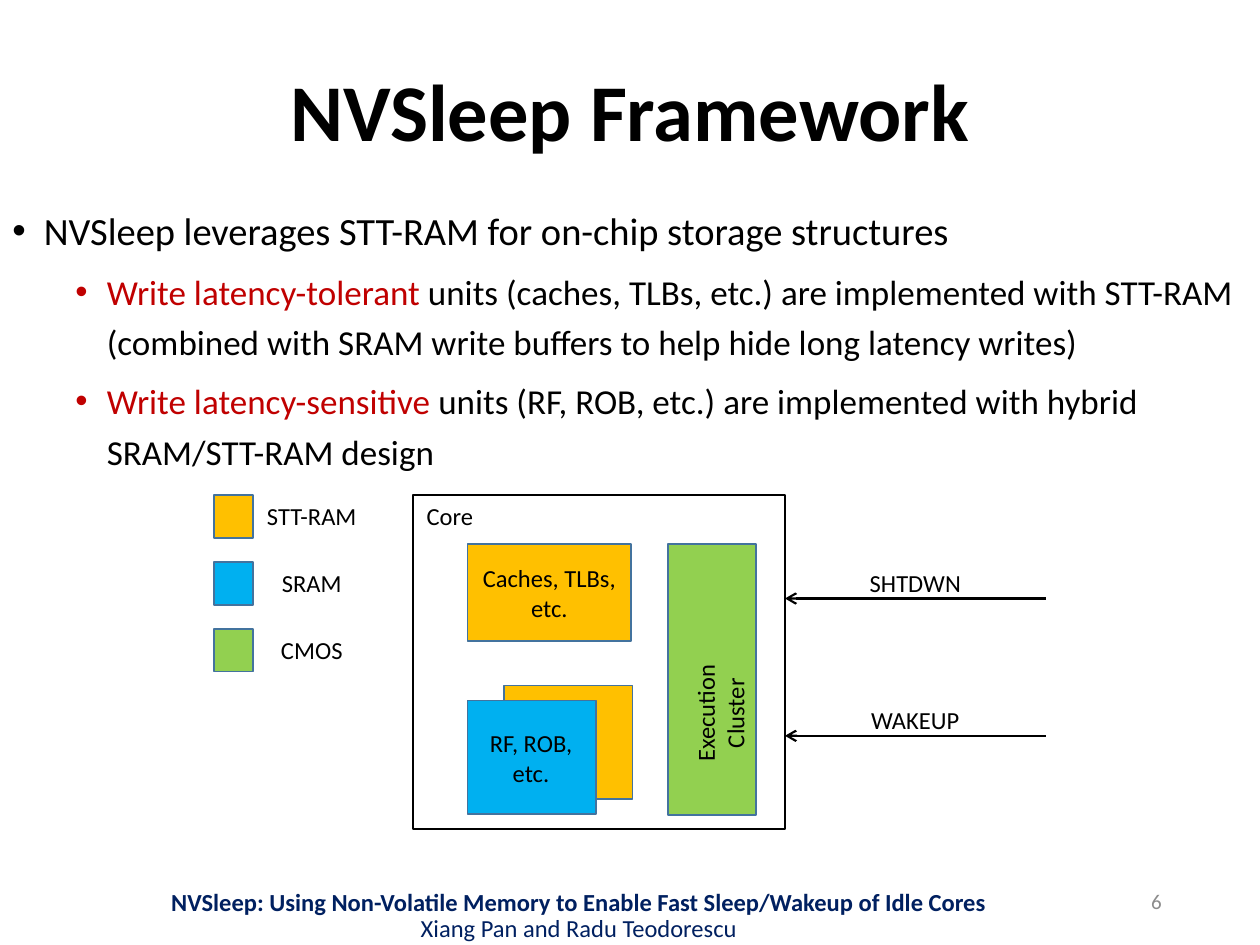
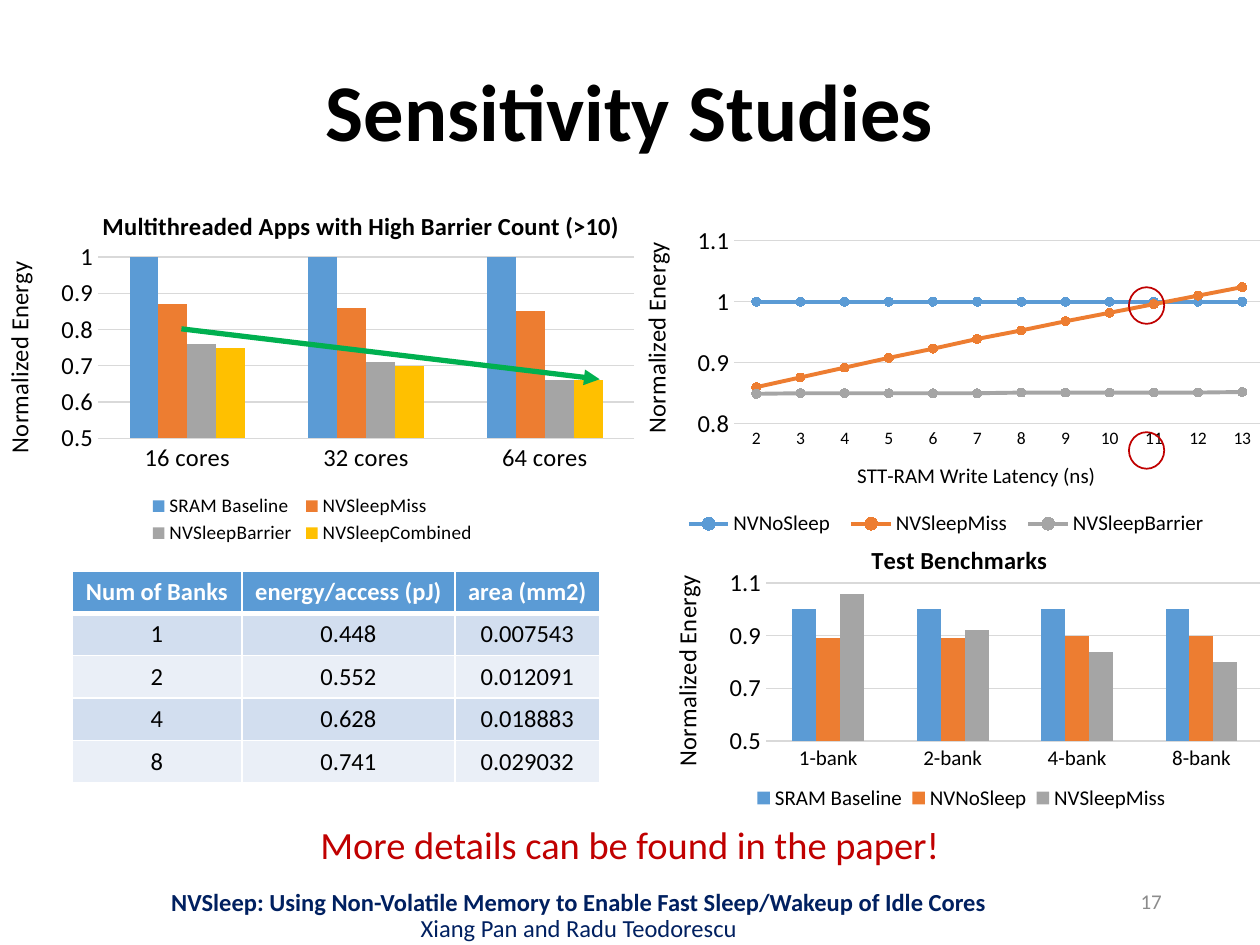
from dataclasses import dataclass
from typing import NamedTuple, Optional

from lxml import etree
from pptx import Presentation
from pptx.chart.data import CategoryChartData
from pptx.dml.color import RGBColor
from pptx.enum.chart import XL_CHART_TYPE as Chart, XL_LEGEND_POSITION as Legend
from pptx.enum.chart import XL_MARKER_STYLE as Marker, XL_TICK_MARK as Tick
from pptx.enum.shapes import MSO_CONNECTOR as Connector, MSO_SHAPE as Shape
from pptx.enum.text import MSO_ANCHOR as Anchor, MSO_AUTO_SIZE as AutoSize, PP_ALIGN as Align
from pptx.oxml.ns import qn
from pptx.util import Emu, Inches, Pt

FONT = "Calibri"
COLORS = {
    "text": "000000", "accent": "C00000", "footer": "002060", "number": "8C8C8C",
    "stt": "FFC000", "sram": "00B0F0", "cmos": "92D050", "edge": "43739E",
    "blue": "5B9BD5", "orange": "ED7D31", "gray": "A5A5A5", "gold": "FFC000",
    "grid": "D9D9D9", "trend": "00B050", "white": "FFFFFF",
    "band_dark": "D2DEEF", "band_light": "EAEFF7",
}
SERIES_COLORS = ("blue", "orange", "gray", "gold")
COLS, ROWS = 100, 75
ENERGY = "Normalized Energy"

prs = Presentation()
prs.slide_width, prs.slide_height = Inches(10), Inches(7.5)
COL, ROW = prs.slide_width / COLS, prs.slide_height / ROWS


class Box(NamedTuple):
    col: float
    row: float
    cols: float
    rows: float

    def emu(self) -> tuple:
        return (Emu(round(self.col * COL)), Emu(round(self.row * ROW)),
                Emu(round(self.cols * COL)), Emu(round(self.rows * ROW)))


class Run(NamedTuple):
    text: str
    size: float = 14
    color: str = "text"
    bold: bool = False


class Frac(NamedTuple):
    x: float
    y: float
    w: Optional[float] = None
    h: Optional[float] = None


class Block(NamedTuple):
    box: Box
    fill: Optional[str] = None
    line: str = "edge"
    kind: Shape = Shape.RECTANGLE


class Arrow(NamedTuple):
    start: tuple
    end: tuple
    color: str = "text"
    width: float = 1.25
    head: str = "arrow"


@dataclass
class ChartSpec:
    box: Box
    kind: Chart
    cats: list
    series: dict
    scale: tuple
    plot: Frac
    legend: Frac
    value_title: Frac
    cat_size: int
    legend_size: int = 12
    title: str = ""
    title_at: Optional[Frac] = None
    cat_title: str = ""
    cat_title_at: Optional[Frac] = None


def rgb(name: str) -> RGBColor:
    return RGBColor.from_string(COLORS[name])


def set_all(obj, **values) -> None:
    for key, value in values.items():
        setattr(obj, key, value)


def style(font, size: float, color: str = "text", bold: bool = False) -> None:
    set_all(font, name=FONT, size=Pt(size), bold=bold)
    font.color.rgb = rgb(color)


def write(p, runs: list, align=Align.CENTER, spacing: float = 1.0) -> None:
    set_all(p, alignment=align, line_spacing=spacing)
    for run in runs:
        r = p.add_run()
        r.text = run.text
        style(r.font, run.size, run.color, run.bold)


def add_text(s, box: Box, lines: list, align=Align.CENTER, spacing: float = 1.0,
             anchor=Anchor.TOP):
    tf = s.shapes.add_textbox(*box.emu()).text_frame
    set_all(tf, word_wrap=True, vertical_anchor=anchor, auto_size=AutoSize.NONE)
    for i, runs in enumerate(lines):
        write(tf.add_paragraph() if i else tf.paragraphs[0], runs, align, spacing)
    return tf


def add_label(s, box: Box, text: str):
    return add_text(s, box, [[Run(text)]])


def add_block(s, block: Block) -> None:
    sp = s.shapes.add_shape(block.kind, *block.box.emu())
    sp.shadow.inherit = False
    if block.fill:
        sp.fill.solid()
        sp.fill.fore_color.rgb = rgb(block.fill)
    else:
        sp.fill.background()
    sp.line.color.rgb = rgb(block.line)
    sp.line.width = Pt(1)


def add_arrow(s, arrow: Arrow) -> None:
    ends = Box(*arrow.start, *arrow.end).emu()
    c = s.shapes.add_connector(Connector.STRAIGHT, *ends)
    c.line.color.rgb = rgb(arrow.color)
    c.line.width = Pt(arrow.width)
    sp_pr = c._element.spPr
    etree.SubElement(sp_pr.find(qn("a:ln")), qn("a:tailEnd"), type=arrow.head)
    etree.SubElement(sp_pr, qn("a:effectLst"))


def add_bullets(s, box: Box, items: list) -> None:
    tf = add_text(s, box, [runs for _, runs in items], Align.LEFT, 1.2)
    for p, (level, _) in zip(tf.paragraphs, items):
        set_all(p, level=level, space_before=Pt(5 if level else 10))
        pr = p._p.get_or_add_pPr()
        pr.set("marL", str(Inches(0.25 + 0.5 * level)))
        pr.set("indent", str(-Inches(0.25)))
        etree.SubElement(pr, qn("a:buFont"), typeface="Arial")
        etree.SubElement(pr, qn("a:buChar"), char="•")


def place(element, at: Frac, index: int, inner: bool = False) -> None:
    for old in element.findall(qn("c:layout")):
        element.remove(old)
    layout = etree.Element(qn("c:layout"))
    element.insert(index, layout)
    manual = etree.SubElement(layout, qn("c:manualLayout"))
    if inner:
        etree.SubElement(manual, qn("c:layoutTarget"), val="inner")
    for mode in ("xMode", "yMode"):
        etree.SubElement(manual, qn(f"c:{mode}"), val="edge")
    for key, value in at._asdict().items():
        if value is not None:
            etree.SubElement(manual, qn(f"c:{key}"), val=str(value))


def title_part(title, text: str, size: float, at: Frac, bold: bool = False):
    write(title.text_frame.paragraphs[0], [Run(text, size, bold=bold)])
    place(title._element, at, 1)
    return title.text_frame


def add_chart(s, spec: ChartSpec) -> None:
    data = CategoryChartData()
    data.categories = spec.cats
    for name, values in spec.series.items():
        data.add_series(name, values)
    chart = s.shapes.add_chart(spec.kind, *spec.box.emu(), data).chart
    style(chart.font, 10)
    chart.has_title = bool(spec.title)
    if spec.title:
        title_part(chart.chart_title, spec.title, 14, spec.title_at, True)

    cat, val = chart.category_axis, chart.value_axis
    for axis, size in ((cat, spec.cat_size), (val, 14)):
        set_all(axis, major_tick_mark=Tick.NONE, minor_tick_mark=Tick.NONE)
        style(axis.tick_labels.font, size)
    low, high, step = spec.scale
    set_all(val, minimum_scale=low, maximum_scale=high, major_unit=step,
            has_major_gridlines=True)
    val.format.line.fill.background()
    for line in (cat.format.line, val.major_gridlines.format.line):
        line.color.rgb = rgb("grid")
        line.width = Pt(0.75)
    tf = title_part(val.axis_title, ENERGY, 14, spec.value_title)
    tf._txBody.bodyPr.set("rot", "-5400000")
    tf._txBody.bodyPr.set("vert", "horz")
    if spec.cat_title:
        title_part(cat.axis_title, spec.cat_title, 12, spec.cat_title_at)

    chart.has_legend = True
    set_all(chart.legend, position=Legend.BOTTOM, include_in_layout=False)
    style(chart.legend.font, spec.legend_size)
    place(chart.legend._element, spec.legend, 1)
    place(chart._chartSpace.chart.plotArea, spec.plot, 0, True)

    plot = chart.plots[0]
    plot.vary_by_categories = False
    is_line = spec.kind == Chart.LINE_MARKERS
    if not is_line:
        plot.gap_width = 219
    for ser, color in zip(plot.series, SERIES_COLORS):
        fills = [ser.format.fill]
        if is_line:
            ser.smooth = False
            set_all(ser.marker, style=Marker.CIRCLE, size=5)
            ser.format.line.width = Pt(2.25)
            ser.marker.format.line.color.rgb = rgb(color)
            fills = [ser.format.line.fill, ser.marker.format.fill]
        for fill in fills:
            fill.solid()
            fill.fore_color.rgb = rgb(color)


def add_table(s, box: Box, widths: list, rows: list) -> None:
    table = s.shapes.add_table(len(rows), len(widths), *box.emu()).table
    for column, width in zip(table.columns, widths):
        column.width = Emu(round(width * COL))
    for i, values in enumerate(rows):
        head = i == 0
        fill = "blue" if head else ("band_light", "band_dark")[i % 2]
        for cell, value in zip(table.rows[i].cells, values):
            write(cell.text_frame.paragraphs[0],
                  [Run(value, color="white" if head else "text", bold=head)])
            pr = cell._tc.get_or_add_tcPr()
            for side in "LRTB":
                width = 3 if (head and side == "B") or (i == 1 and side == "T") else 1
                ln = etree.SubElement(pr, qn(f"a:ln{side}"), w=str(Pt(width)))
                solid = etree.SubElement(ln, qn("a:solidFill"))
                etree.SubElement(solid, qn("a:srgbClr"), val=COLORS["white"])
            cell.fill.solid()
            cell.fill.fore_color.rgb = rgb(fill)


def new_slide(title: str, number: int):
    s = prs.slides.add_slide(prs.slide_layouts[5])
    t = s.shapes.title
    set_all(t, **dict(zip(("left", "top", "width", "height"),
                          Box(3.7, 3.7, 92.5, 10.9).emu())))
    set_all(t.text_frame, vertical_anchor=Anchor.MIDDLE, auto_size=AutoSize.NONE)
    write(t.text_frame.paragraphs[0], [Run(title, 46, bold=True)], spacing=0.9)
    add_text(s, Box(88.9, 69.5, 4.3, 4), [[Run(str(number), 12, "number")]],
             Align.RIGHT, anchor=Anchor.MIDDLE)
    tf = add_text(s, Box(5.3, 70.3, 81.3, 4.9), [
        [Run("NVSleep: Using Non-Volatile Memory to Enable Fast Sleep/Wakeup of Idle Cores",
             color="footer", bold=True)],
        [Run("Xiang Pan and Radu Teodorescu", color="footer")]], spacing=0.9,
        anchor=Anchor.MIDDLE)
    set_all(tf, margin_left=Inches(0.07), margin_right=Inches(0.07),
            margin_top=Inches(0.04), margin_bottom=Inches(0.04))
    return s


def framework_slide() -> None:
    s = new_slide("NVSleep Framework", 6)
    add_bullets(s, Box(0, 15.2, 100, 18.6), [
        (0, [Run("NVSleep leverages STT-RAM for on-chip storage structures", 22)]),
        (1, [Run("Write latency-tolerant ", 20, "accent"),
             Run("units (caches, TLBs, etc.) are implemented with STT-RAM (combined with "
                 "SRAM write buffers to help hide long latency writes)", 20)]),
        (1, [Run("Write latency-sensitive ", 20, "accent"),
             Run("units (RF, ROB, etc.) are implemented with hybrid SRAM/STT-RAM design", 20)]),
    ])
    for block in (Block(Box(32.8, 39.3, 29.5, 26.5), line="text"),
                  Block(Box(37.1, 43.2, 13, 7.7), "stt"),
                  Block(Box(40, 54.4, 10.2, 9), "stt"),
                  Block(Box(53, 43.2, 7, 21.5), "cmos"),
                  Block(Box(37.1, 55.6, 10.2, 9), "sram")):
        add_block(s, block)
    tf = add_label(s, Box(54.3, 49.1, 5.9, 15), "Execution Cluster")
    tf._txBody.bodyPr.set("vert", "vert270")
    add_label(s, Box(36.5, 44.2, 14.2, 5.7), "Caches, TLBs, etc.")
    add_label(s, Box(36.5, 57.3, 11.3, 5.7), "RF, ROB, etc.")
    add_label(s, Box(32.8, 39.3, 5.8, 3.4), "Core")
    for i, (name, fill) in enumerate((("STT-RAM", "stt"), ("SRAM", "sram"), ("CMOS", "cmos"))):
        row = 39.3 + 5.3 * i
        add_block(s, Block(Box(17, row, 3.1, 3.4), fill))
        add_label(s, Box(20.1, row, 9.3, 3.4), name)
    for row, name in ((47.5, "SHTDWN"), (58.4, "WAKEUP")):
        add_arrow(s, Arrow((83, row), (62.3, row)))
        add_label(s, Box(68, row - 2.9, 9.3, 3.4), name)


def studies_slide() -> None:
    s = new_slide("Sensitivity Studies", 17)
    add_chart(s, ChartSpec(
        Box(-1.8, 13.8, 53.2, 30), Chart.COLUMN_CLUSTERED,
        [f"{n} cores" for n in (16, 32, 64)],
        {"SRAM Baseline": [1] * 3, "NVSleepMiss": [0.87, 0.86, 0.85],
         "NVSleepBarrier": [0.76, 0.71, 0.66], "NVSleepCombined": [0.75, 0.7, 0.66]},
        (0.5, 1, 0.1), Frac(0.18, 0.22, 0.8, 0.48), Frac(0.25, 0.84, 0.5, 0.15),
        Frac(0.03, 0.22), 14, 11,
        "Multithreaded Apps with High Barrier Count (>10)", Frac(0.18, 0.08)))
    add_arrow(s, Arrow((14.4, 26.1), (47.6, 30.1), "trend", 3, "triangle"))
    add_chart(s, ChartSpec(
        Box(48.8, 17.5, 52.6, 26.9), Chart.LINE_MARKERS, [str(n) for n in range(2, 14)],
        {"NVNoSleep": [1] * 12,
         "NVSleepMiss": [0.86, 0.876, 0.892, 0.908, 0.923, 0.939,
                         0.953, 0.968, 0.982, 0.996, 1.01, 1.024],
         "NVSleepBarrier": [0.849] + [0.85] * 5 + [0.851] * 5 + [0.852]},
        (0.8, 1.1, 0.1), Frac(0.18, 0.06, 0.8, 0.54), Frac(0.09, 0.85, 0.82, 0.09),
        Frac(0.03, 0.05), 10,
        cat_title="STT-RAM Write Latency (ns)", cat_title_at=Frac(0.36, 0.7)))
    for row in (34.3, 22.8):
        add_block(s, Block(Box(89.6, row, 2.8, 2.9), line="accent", kind=Shape.OVAL))
    add_table(s, Box(5.7, 45.3, 41.9, 16.7), [13.5, 16.9, 11.5], [
        ("Num of Banks", "energy/access (pJ)", "area (mm2)"),
        ("1", "0.448", "0.007543"), ("2", "0.552", "0.012091"),
        ("4", "0.628", "0.018883"), ("8", "0.741", "0.029032")])
    add_chart(s, ChartSpec(
        Box(51.3, 40, 50, 25.1), Chart.COLUMN_CLUSTERED,
        [f"{n}-bank" for n in (1, 2, 4, 8)],
        {"SRAM Baseline": [1] * 4, "NVNoSleep": [0.89, 0.89, 0.9, 0.9],
         "NVSleepMiss": [1.06, 0.92, 0.84, 0.8]},
        (0.5, 1.1, 0.2), Frac(0.19, 0.25, 0.79, 0.5), Frac(0.16, 0.91, 0.68, 0.09),
        Frac(0.03, 0.21), 12,
        title="Test Benchmarks", title_at=Frac(0.35, 0.11)))
    add_text(s, Box(0, 64.7, 100, 4.7),
             [[Run("More details can be found in the paper!", 22, "accent")]])


def main() -> None:
    framework_slide()
    studies_slide()
    prs.save("out.pptx")


if __name__ == "__main__":
    main()
